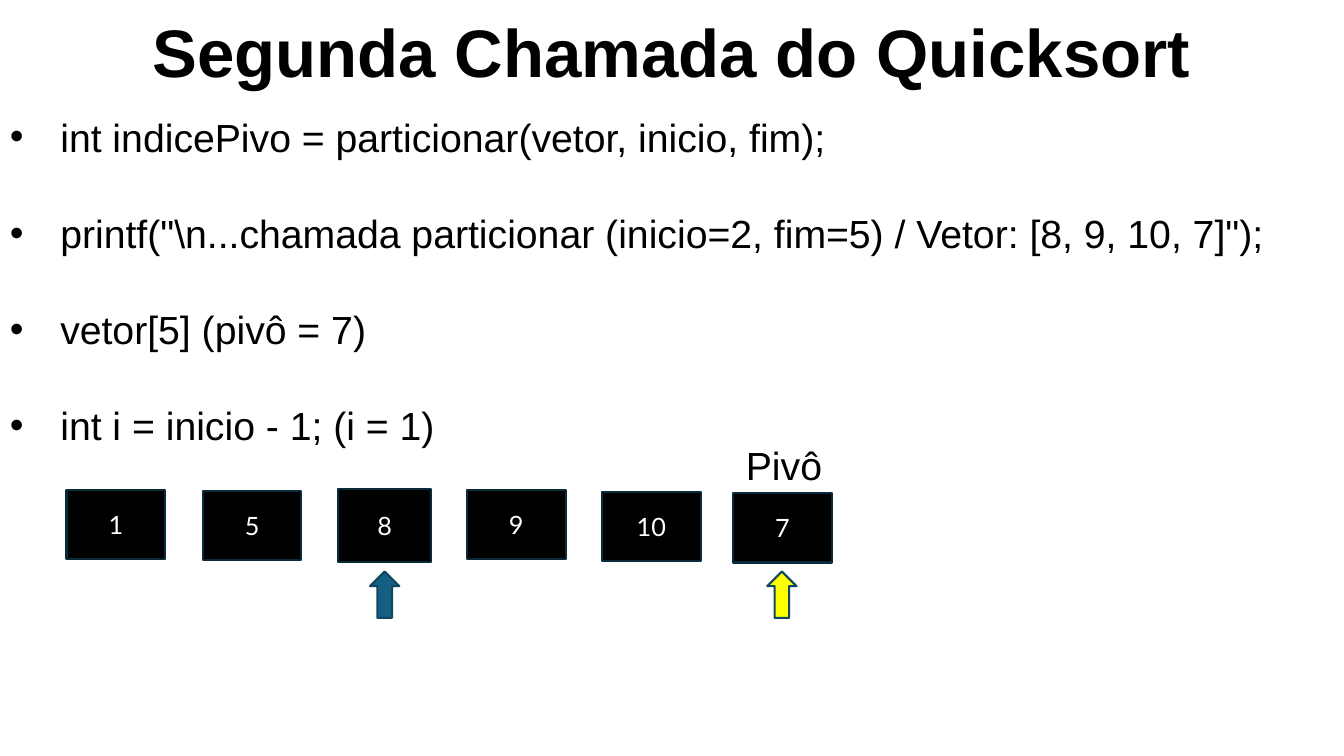
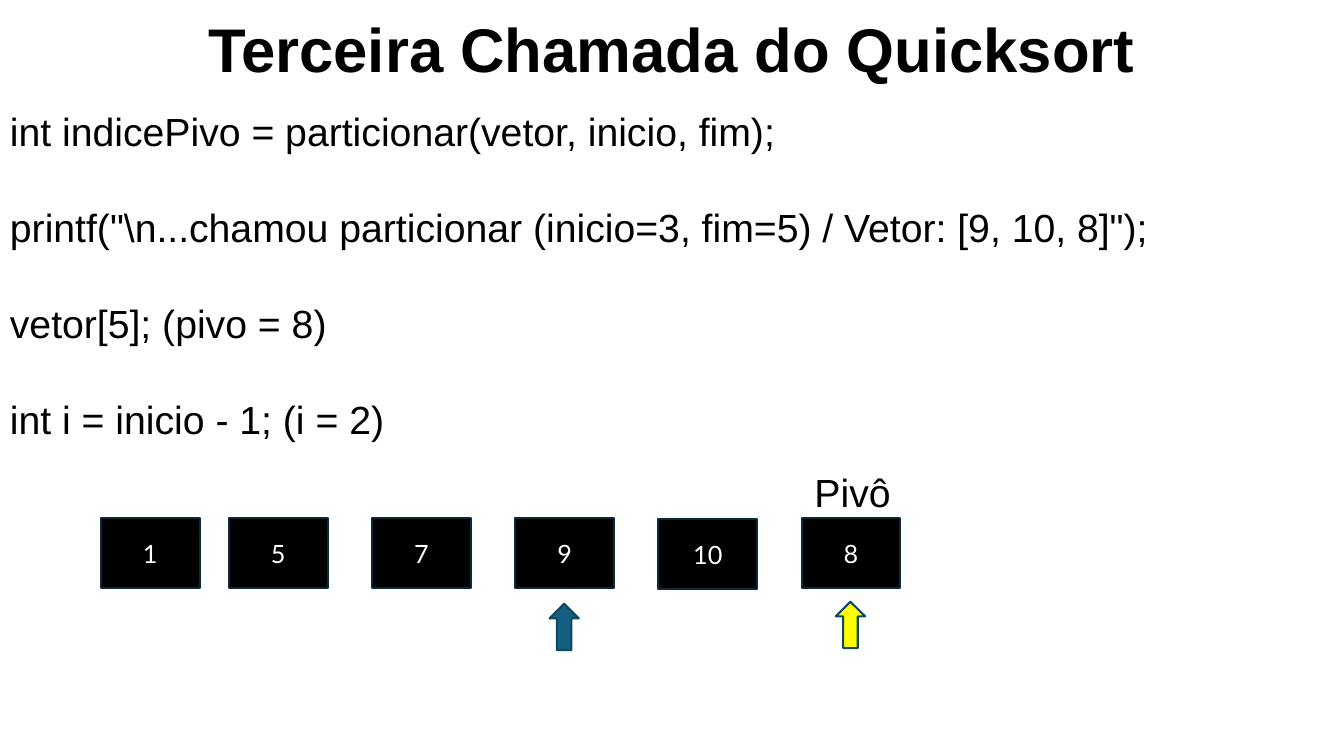
from pptx import Presentation
from pptx.dml.color import RGBColor
from pptx.enum.shapes import MSO_SHAPE as SHAPE
from pptx.enum.text import MSO_ANCHOR as ANCHOR, MSO_AUTO_SIZE as AUTO, PP_ALIGN as ALIGN
from pptx.oxml import parse_xml
from pptx.oxml.ns import nsdecls
from pptx.util import Pt

PX = 9144  # 100 px to the inch
COLORS = {
    "text": "000000", "box": "000000", "box_line": "092A39", "box_text": "FFFFFF",
    "index": "156082", "pivot": "FFFF00", "arrow_line": "104760",
}
BOX_W, BOX_H = 98, 69
ARROW_W, ARROW_H = 29, 46

# Boxes are (value, left, top, width, height); arrows are (color, left, top).
SLIDES = [
    {
        "title": "Segunda Chamada do Quicksort", "title_size": 48, "title_at": (0, 0, 1333, 125),
        "lines": [
            "int indicePivo = particionar(vetor, inicio, fim);",
            r'printf("\n...chamada particionar (inicio=2, fim=5) / Vetor: [8, 9, 10, 7]");',
            "vetor[5] (pivô = 7)",
            "int i = inicio - 1; (i = 1)",
        ],
        "lines_at": (0, 104, 1333, 401), "bullets": True,
        "boxes": [
            ("1", 66, 486, BOX_W, BOX_H), ("5", 201, 487, BOX_W, BOX_H),
            ("8", 335, 485, 93, 73), ("9", 463, 486, BOX_W, BOX_H),
            ("10", 597, 488, BOX_W, BOX_H), ("7", 727, 489, BOX_W, BOX_H),
        ],
        "label_at": (730, 430, 96, 57),
        "arrows": [("index", 367, 567), ("pivot", 761, 567)],
    },
    {
        "title": "Terceira Chamada do Quicksort", "title_size": 44, "title_at": (0, 1, 1333, 118),
        "lines": [
            "int indicePivo = particionar(vetor, inicio, fim);",
            r'printf("\n...chamou particionar (inicio=3, fim=5) / Vetor: [9, 10, 8]");',
            "vetor[5]; (pivo = 8)",
            "int i = inicio - 1; (i = 2)",
        ],
        "lines_at": (0, 98, 1168, 401), "bullets": False,
        "boxes": [("1", 100, 514, BOX_W, BOX_H)] + [
            (value, 227 + 142 * i, 515 if value == "10" else 514, BOX_W, BOX_H)
            for i, value in enumerate(["5", "7", "9", "10", "8"])
        ],
        "label_at": (798, 457, 96, 57),
        "arrows": [("pivot", 829, 597), ("index", 545, 599)],
    },
]


def add_run(p, text, size, font="Arial", color="text", bold=False):
    r = p.add_run()
    r.text = text
    r.font.size, r.font.name, r.font.bold = Pt(size), font, bold
    r.font.color.rgb = RGBColor.from_string(COLORS[color])


def add_filled(s, kind, at, fill, line):
    sp = s.shapes.add_shape(kind, *[n * PX for n in at])
    sp.shadow.inherit = False
    sp.fill.solid()
    sp.fill.fore_color.rgb = RGBColor.from_string(COLORS[fill])
    sp.line.color.rgb = RGBColor.from_string(COLORS[line])
    sp.line.width = Pt(1.5)
    return sp


prs = Presentation()
prs.slide_width, prs.slide_height = 1333 * PX, 750 * PX

for data in SLIDES:
    s = prs.slides.add_slide(prs.slide_layouts[5])

    title = s.shapes.title
    title.left, title.top, title.width, title.height = [n * PX for n in data["title_at"]]
    tf = title.text_frame
    tf.auto_size, tf.vertical_anchor, tf.margin_top = AUTO.NONE, ANCHOR.TOP, 10 * PX
    tf.paragraphs[0].alignment = ALIGN.CENTER
    add_run(tf.paragraphs[0], data["title"], data["title_size"], bold=True)

    tf = s.shapes.add_textbox(*[n * PX for n in data["lines_at"]]).text_frame
    tf.word_wrap, tf.margin_top = True, 8 * PX
    for i, line in enumerate(data["lines"]):
        p = tf.add_paragraph() if i else tf.paragraphs[0]
        p.space_after = Pt(35)
        if data["bullets"]:
            pPr = p._p.get_or_add_pPr()
            pPr.set("marL", str(50 * PX))
            pPr.set("indent", str(-50 * PX))
            pPr.append(parse_xml(f'<a:buFont {nsdecls("a")} typeface="Arial"/>'))
            pPr.append(parse_xml(f'<a:buChar {nsdecls("a")} char="•"/>'))
        add_run(p, line, 28)

    for value, *at in data["boxes"]:
        tf = add_filled(s, SHAPE.RECTANGLE, at, "box", "box_line").text_frame
        tf.vertical_anchor = ANCHOR.MIDDLE
        tf.paragraphs[0].alignment = ALIGN.CENTER
        add_run(tf.paragraphs[0], value, 18, "Lato", "box_text")

    tf = s.shapes.add_textbox(*[n * PX for n in data["label_at"]]).text_frame
    tf.word_wrap, tf.margin_top = False, 8 * PX
    add_run(tf.paragraphs[0], "Pivô", 28)

    for color, left, top in data["arrows"]:
        add_filled(s, SHAPE.UP_ARROW, (left, top, ARROW_W, ARROW_H), color, "arrow_line")

prs.save("out.pptx")
